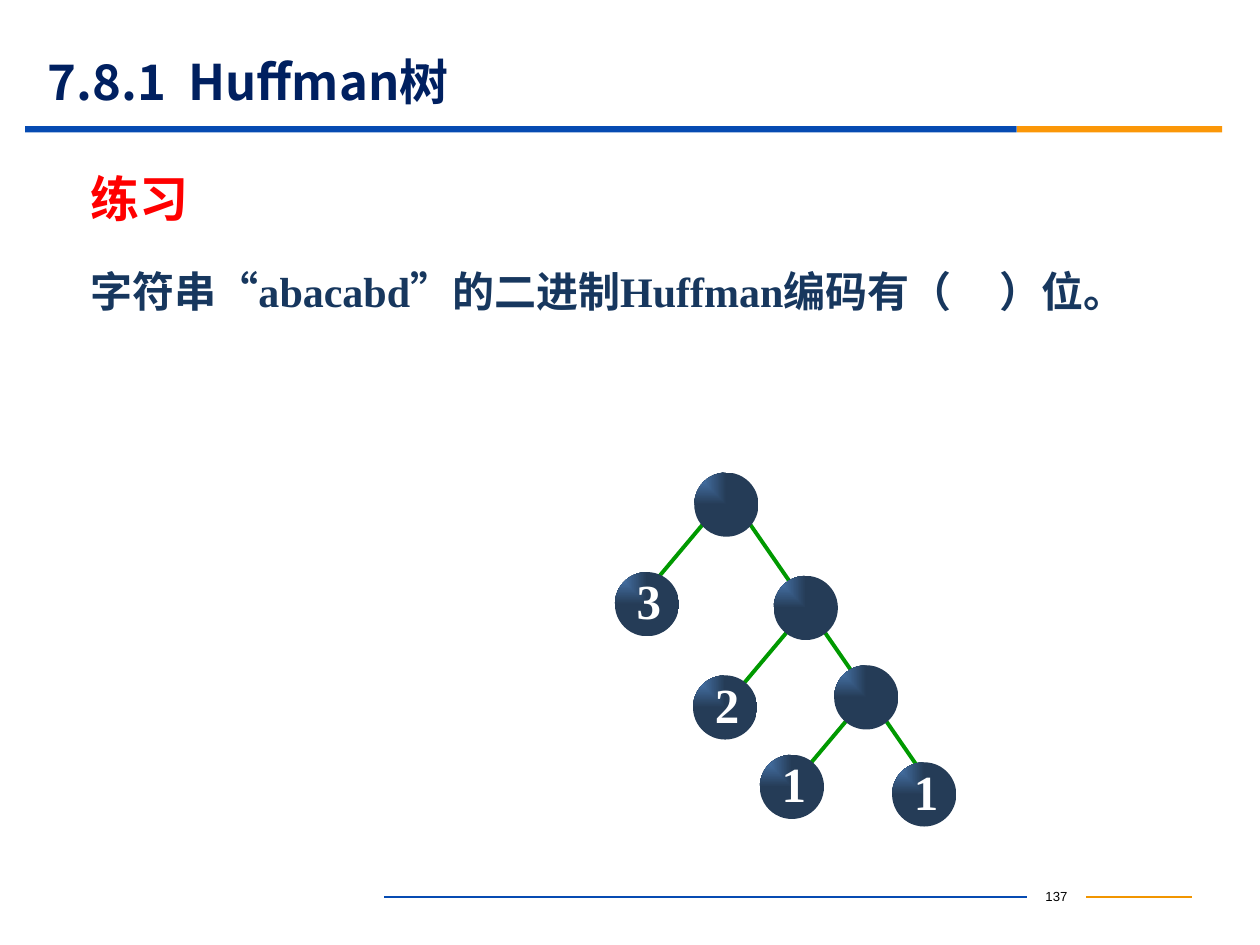
from lxml import etree
from pptx import Presentation
from pptx.dml.color import RGBColor
from pptx.enum import shapes, text
from pptx.oxml import parse_xml
from pptx.oxml.ns import nsdecls, qn
from pptx.util import Inches, Pt

COLORS = {
    "title": "002060", "heading": "FF0000", "body": "17375E",
    "blue": "064BB2", "orange": "FB9708", "footer_orange": "F19500",
    "edge": "009900", "node_light": "4F81BD", "node_dark": "253C57",
    "label": "FFFFFF", "number": "000000",
}
SERIF = "Times New Roman"
NODE_SIZE = 0.51

TITLE = "7.8.1  Huffman树"
HEADING = "练习"
QUESTION = "字符串“abacabd”的二进制Huffman编码有（     ）位。"
PAGE_NUMBER = "137"

# left, top, width, colour
HEADER_BARS = [(0.2, 1, 7.87, "blue"), (8.07, 1, 1.63, "orange")]
# start, end, colour, width in points
FOOTER_LINES = [
    ((8.62, 7.12), (9.46, 7.12), "footer_orange", 0.75),
    ((3.05, 7.12), (8.15, 7.12), "blue", 0.75),
]
TREE_EDGES = [
    ((5.63, 4.1), (5.21, 4.6), "edge", 2.25),
    ((6.31, 4.94), (5.89, 5.44), "edge", 2.25),
    ((6.81, 5.61), (6.39, 6.11), "edge", 2.25),
    ((5.8, 3.94), (7.28, 6.08), "edge", 2.25),
]
# left, top, weight (inner nodes have none)
TREE_NODES = [
    (5.51, 3.75, None), (6.14, 4.57, None), (6.62, 5.28, None),
    (4.88, 4.54, "3"), (5.5, 5.36, "2"), (6.03, 5.99, "1"), (7.08, 6.05, "1"),
]


def rgb(name):
    return RGBColor.from_string(COLORS[name])


def write(shape, content, size, font, color, bold=True,
          align=text.PP_ALIGN.LEFT, anchor=text.MSO_ANCHOR.MIDDLE):
    frame = shape.text_frame
    frame.word_wrap = True
    frame.auto_size = text.MSO_AUTO_SIZE.NONE
    frame.vertical_anchor = anchor
    paragraph = frame.paragraphs[0]
    paragraph.text = content
    paragraph.alignment = align
    paragraph.font.size = Pt(size)
    paragraph.font.name = font
    paragraph.font.bold = bold
    paragraph.font.color.rgb = rgb(color)
    return paragraph


def add_text(slide, box, *args, **options):
    shape = slide.shapes.add_textbox(*map(Inches, box))
    return write(shape, *args, **options)


def add_line(slide, start, end, color, width):
    line = slide.shapes.add_connector(
        shapes.MSO_CONNECTOR.STRAIGHT, *map(Inches, start + end))
    line.line.color.rgb = rgb(color)
    line.line.width = Pt(width)
    etree.SubElement(line._element.spPr, qn("a:effectLst"))


def add_shape(slide, kind, *box):
    shape = slide.shapes.add_shape(kind, *map(Inches, box))
    shape.shadow.inherit = False
    shape.line.fill.background()
    return shape


def add_bar(slide, left, top, width, color):
    bar = add_shape(slide, shapes.MSO_SHAPE.RECTANGLE, left, top, width, 0.05)
    bar.fill.solid()
    bar.fill.fore_color.rgb = rgb(color)


def add_node(slide, left, top, weight):
    """Draw a circle lit from its top left corner, with its weight if any."""
    node = add_shape(slide, shapes.MSO_SHAPE.OVAL, left, top, NODE_SIZE, NODE_SIZE)
    node.fill.gradient()
    for stop, color in zip(node.fill.gradient_stops, ("node_light", "node_dark")):
        stop.color.rgb = rgb(color)
    linear = node._element.spPr.find(".//" + qn("a:lin"))
    linear.getparent().replace(linear, parse_xml(
        f'<a:path {nsdecls("a")} path="rect">'
        '<a:fillToRect r="100000" b="100000"/></a:path>'))
    if weight:
        paragraph = add_text(slide, (left + 0.07, top - 0.06, 0.4, 0.57),
                             weight, 28, SERIF, "label",
                             align=text.PP_ALIGN.CENTER)
        paragraph._parent.word_wrap = False


def main():
    presentation = Presentation()
    presentation.slide_width = Inches(10)
    presentation.slide_height = Inches(7.5)
    slide = presentation.slides.add_slide(presentation.slide_layouts[5])

    title = slide.shapes.title
    title.left, title.top, title.width, title.height = map(
        Inches, (0.28, 0.43, 9, 0.43))
    write(title, TITLE, 28, "Noto Sans CJK SC", "title")

    add_text(slide, (8.15, 6.99, 0.47, 0.25), PAGE_NUMBER, 7.5, "Arial",
             "number", bold=False, align=text.PP_ALIGN.CENTER)
    for bar in HEADER_BARS:
        add_bar(slide, *bar)

    question = add_text(slide, (0.62, 2.1, 8.74, 2.37), QUESTION, 24, SERIF,
                        "body", anchor=text.MSO_ANCHOR.TOP)
    question.line_spacing = 0.9

    for line in FOOTER_LINES + TREE_EDGES:
        add_line(slide, *line)
    for node in TREE_NODES:
        add_node(slide, *node)
    add_text(slide, (0.62, 1.19, 9, 0.76), HEADING, 28, SERIF, "heading")

    presentation.save("out.pptx")


if __name__ == "__main__":
    main()
